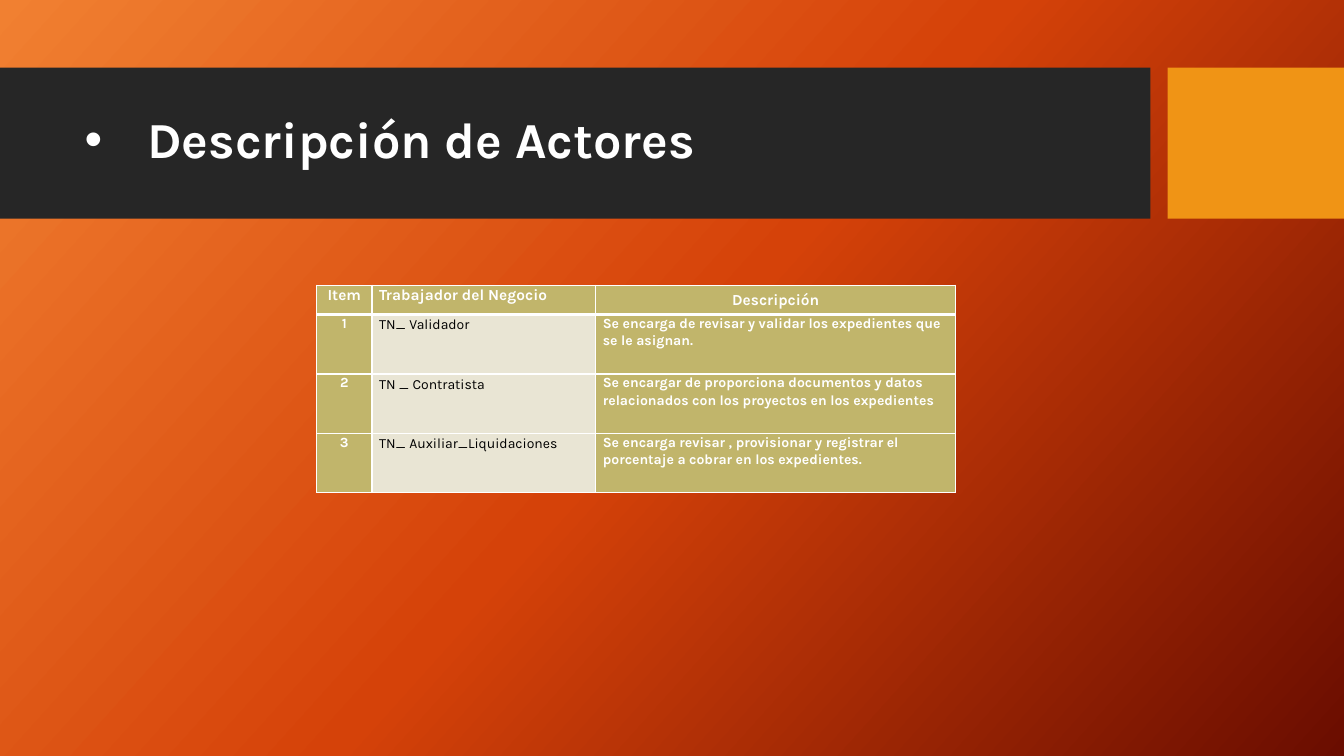
from copy import deepcopy

from pptx import Presentation
from pptx.dml.color import RGBColor
from pptx.enum.shapes import MSO_SHAPE
from pptx.enum.text import MSO_ANCHOR, MSO_AUTO_SIZE, PP_ALIGN
from pptx.oxml import parse_xml
from pptx.oxml.ns import nsdecls, qn
from pptx.util import Inches, Pt

RECTANGLE = MSO_SHAPE.RECTANGLE
LEFT, CENTER = PP_ALIGN.LEFT, PP_ALIGN.CENTER
TOP, MIDDLE = MSO_ANCHOR.TOP, MSO_ANCHOR.MIDDLE
NO_AUTOFIT = MSO_AUTO_SIZE.NONE

FONT = "Karla"
TITLE_ONLY = 5
WHITE = RGBColor(0xFF, 0xFF, 0xFF)
BLACK = RGBColor(0, 0, 0)
CHARCOAL = RGBColor(0x26, 0x26, 0x26)
AMBER = RGBColor(0xF0, 0x94, 0x15)
OLIVE = RGBColor(0xC1, 0xB5, 0x6B)
CREAM = RGBColor(0xE9, 0xE5, 0xD4)
BACKGROUND_STOPS = [
    (0, RGBColor(0xF1, 0x80, 0x31)),
    (0.5, RGBColor(0xD5, 0x42, 0x09)),
    (1, RGBColor(0x6A, 0x0D, 0x00)),
]

COLUMN_WIDTHS = [0.55, 2.22, 3.57]
ROW_HEIGHTS = [0.29, 0.59, 0.59, 0.59]
HEADINGS = ["Item", "Trabajador del Negocio", "Descripción"]
ACTORS = [
    ("TN_", "Validador",
     "Se encarga de revisar y validar los expedientes que se le asignan."),
    ("TN _", "Contratista",
     "Se encargar de proporciona documentos y datos relacionados con los "
     "proyectos en los expedientes"),
    ("TN_", "Auxiliar_Liquidaciones",
     "Se encarga revisar , provisionar y registrar el porcentaje a cobrar "
     "en los expedientes."),
]


def set_gradient_background(slide):
    fill = slide.background.fill
    fill.gradient()
    fill.gradient_angle = 360 - 42  # python-pptx counts counter-clockwise
    stop_list = slide.element.find(".//" + qn("a:gsLst"))
    stop_list.insert(1, deepcopy(stop_list[0]))
    for stop, (position, color) in zip(fill.gradient_stops, BACKGROUND_STOPS):
        stop.position = position
        stop.color.rgb = color


def add_band(slide, left, width, color):
    band = slide.shapes.add_shape(
        RECTANGLE, Inches(left), Inches(0.67), Inches(width), Inches(1.5))
    band.shadow.inherit = False
    band.fill.solid()
    band.fill.fore_color.rgb = color
    band.line.fill.background()


def format_span(span, size, color, bold):
    span.font.name = FONT
    span.font.size = Pt(size)
    span.font.color.rgb = color
    span.font.bold = bold


def place_title(slide, text):
    title = slide.shapes.title
    title.left, title.top = Inches(0.74), Inches(0.82)
    title.width, title.height = Inches(10.51), Inches(1.18)
    slide.shapes.element.append(title.element)  # in front of the bands
    frame = title.text_frame
    frame.text = text
    frame.word_wrap = True
    frame.auto_size = NO_AUTOFIT
    frame.vertical_anchor = MIDDLE
    para = frame.paragraphs[0]
    para.alignment = LEFT
    para.line_spacing = 0.9
    format_span(para.runs[0], 36, WHITE, True)
    properties = para._p.get_or_add_pPr()
    properties.set("marL", str(Inches(0.62)))
    properties.set("indent", str(-Inches(0.62)))
    for markup in ('<a:buFont %s typeface="Arial"/>', '<a:buChar %s char="•"/>'):
        properties.append(parse_xml(markup % nsdecls("a")))


def set_borders(cell, top=1, bottom=1):
    widths = {"lnL": 1, "lnR": 1, "lnT": top, "lnB": bottom}
    properties = cell._tc.get_or_add_tcPr()
    for index, (side, width) in enumerate(widths.items()):
        properties.insert(index, parse_xml(
            f'<a:{side} {nsdecls("a")} w="{Pt(width)}"><a:solidFill>'
            f'<a:srgbClr val="{WHITE}"/></a:solidFill></a:{side}>'))


def fill_cell(cell, spans, fill=OLIVE, color=WHITE, bold=True,
              alignment=LEFT, anchor=TOP):
    """Write the (text, size) spans into the cell."""
    cell.fill.solid()
    cell.fill.fore_color.rgb = fill
    cell.margin_left = cell.margin_right = Inches(0.07)
    cell.margin_top = cell.margin_bottom = 0
    cell.vertical_anchor = anchor
    para = cell.text_frame.paragraphs[0]
    para.alignment = alignment
    para.line_spacing = 1.07
    para.space_after = Pt(8)
    for text, size in spans:
        span = para.add_run()
        span.text = text
        format_span(span, size, color, bold)


def add_actor_table(slide):
    table = slide.shapes.add_table(
        len(ROW_HEIGHTS), len(COLUMN_WIDTHS), Inches(3.14), Inches(2.83),
        Inches(sum(COLUMN_WIDTHS)), Inches(sum(ROW_HEIGHTS))).table
    table.first_row = table.horz_banding = False
    for column, width in zip(table.columns, COLUMN_WIDTHS):
        column.width = Inches(width)
    for row, height in zip(table.rows, ROW_HEIGHTS):
        row.height = Inches(height)

    item, worker, description = table.rows[0].cells
    fill_cell(item, [(HEADINGS[0], 11)], alignment=CENTER)
    fill_cell(worker, [(HEADINGS[1], 11)])
    fill_cell(description, [(HEADINGS[2], 11)], alignment=CENTER, anchor=MIDDLE)
    for number, (prefix, name, duty) in enumerate(ACTORS, start=1):
        item, worker, description = table.rows[number].cells
        fill_cell(item, [(str(number), 10)], alignment=CENTER)
        fill_cell(worker, [(prefix, 10), (" ", 11), (name, 10)],
                  fill=CREAM, color=BLACK, bold=False)
        fill_cell(description, [(duty, 10)])

    for index, row in enumerate(table.rows):
        for cell in row.cells:
            set_borders(cell, top=3 if index == 1 else 1,
                        bottom=3 if index == 0 else 1)


def main():
    deck = Presentation()
    deck.slide_width, deck.slide_height = Inches(13.33), Inches(7.5)
    slide = deck.slides.add_slide(deck.slide_layouts[TITLE_ONLY])
    set_gradient_background(slide)
    add_band(slide, 0, 11.41, CHARCOAL)
    add_band(slide, 11.58, 1.75, AMBER)
    place_title(slide, "Descripción de Actores")
    add_actor_table(slide)
    deck.save("out.pptx")


if __name__ == "__main__":
    main()
